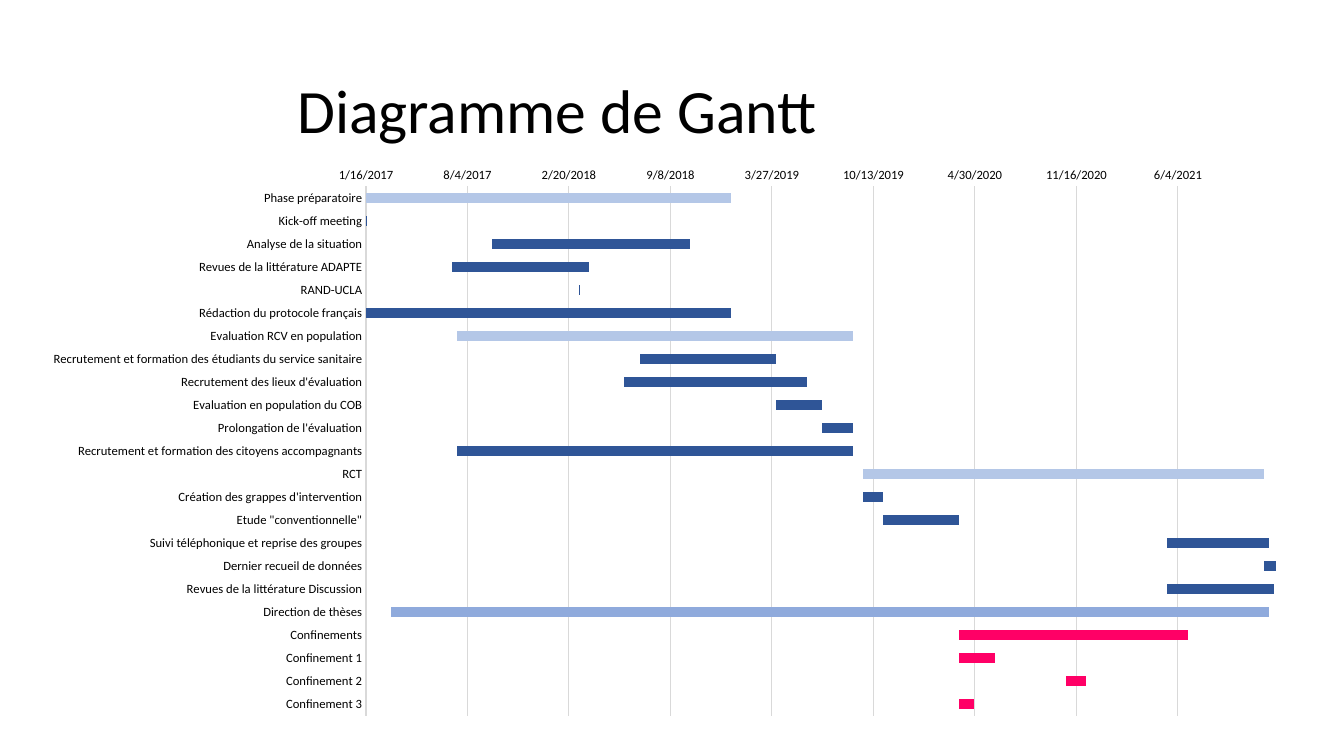
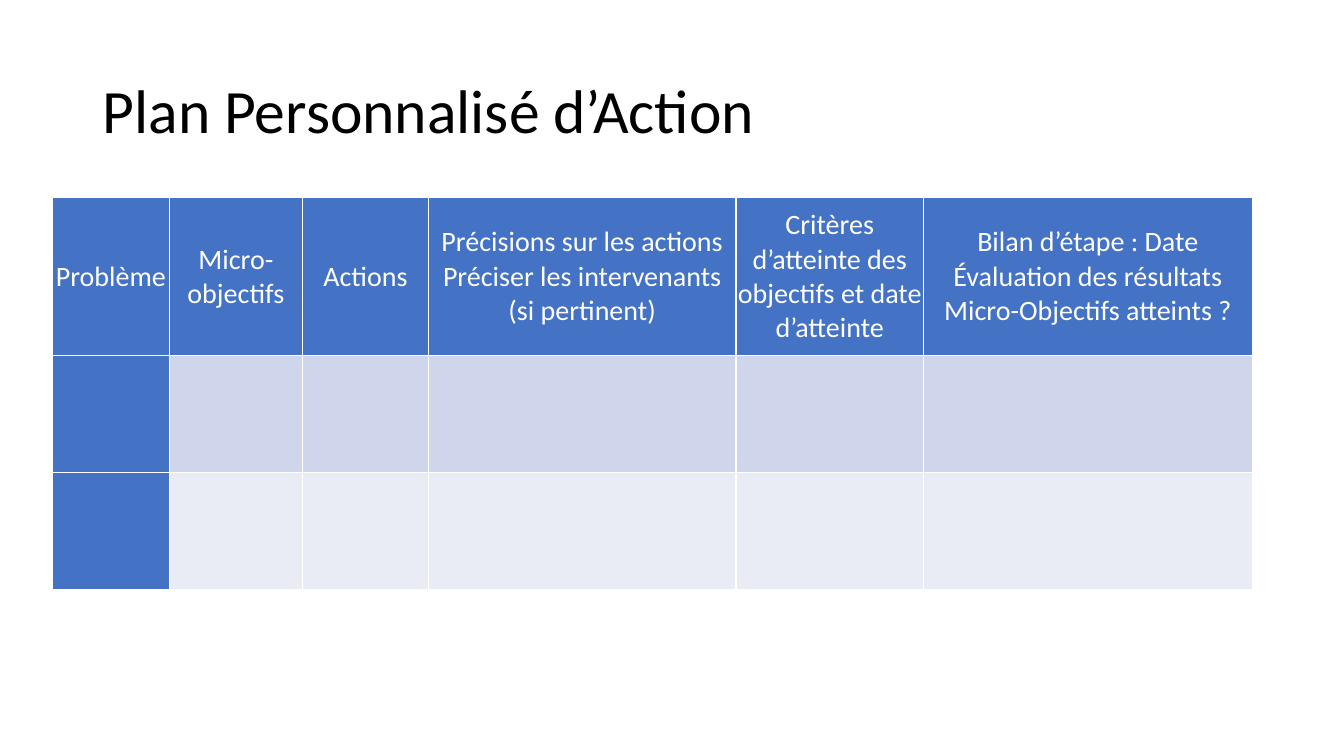
from dataclasses import dataclass
from typing import Any, NamedTuple

from pptx import Presentation
from pptx.chart.data import CategoryChartData
from pptx.dml.color import RGBColor
from pptx.enum.chart import XL_CHART_TYPE, XL_TICK_MARK
from pptx.enum.text import MSO_ANCHOR, PP_ALIGN
from pptx.oxml import parse_xml
from pptx.oxml.ns import nsdecls, qn
from pptx.util import Inches, Pt

STACKED_BARS = XL_CHART_TYPE.BAR_STACKED
NO_TICKS = XL_TICK_MARK.NONE
MIDDLE = MSO_ANCHOR.MIDDLE
CENTER = PP_ALIGN.CENTER


@dataclass(frozen=True)
class Theme:
    font: str = "Calibri"
    text: str = "000000"
    white: str = "FFFFFF"
    grid: str = "D9D9D9"
    phase: str = "B4C7E7"
    task: str = "2F5597"
    supervision: str = "8FAADC"
    lockdown: str = "FF0066"
    header: str = "4472C4"
    bands: tuple[str, ...] = ("CFD5EA", "E9EBF5")
    title_size: float = 44
    header_size: float = 20
    chart_size: float = 10
    axis_size: float = 9


THEME = Theme()


class Task(NamedTuple):
    label: str
    start: int  # date serial number
    days: int
    color: str = THEME.task


class Column(NamedTuple):
    width: float
    heading: tuple[str, ...]


class Box(NamedTuple):
    left: float
    top: float
    width: float
    height: float


GANTT = Box(0.27, 1.55, 12.64, 5.66)
GANTT_PLOT = Box(3.36, 0.3, 9.03, 5.25)  # within the chart
AXIS_START, AXIS_END, GRID_DAYS = 42751, 44545, 200

TASKS = [
    Task("Phase préparatoire", 42750, 720, THEME.phase),
    Task("Kick-off meeting", 42750, 4),
    Task("Analyse de la situation", 43000, 390),
    Task("Revues de la littérature ADAPTE", 42920, 270),
    Task("RAND-UCLA", 43170, 2),
    Task("Rédaction du protocole français", 42750, 720),
    Task("Evaluation RCV en population", 42930, 780, THEME.phase),
    Task("Recrutement et formation des étudiants du service sanitaire", 43290, 270),
    Task("Recrutement des lieux d'évaluation", 43260, 360),
    Task("Evaluation en population du COB", 43560, 90),
    Task("Prolongation de l'évaluation", 43650, 60),
    Task("Recrutement et formation des citoyens accompagnants", 42930, 780),
    Task("RCT", 43730, 790, THEME.phase),
    Task("Création des grappes d'intervention", 43730, 40),
    Task('Etude "conventionnelle"', 43770, 150),
    Task("Suivi téléphonique et reprise des groupes", 44330, 200),
    Task("Dernier recueil de données", 44520, 30),
    Task("Revues de la littérature Discussion", 44330, 210),
    Task("Direction de thèses", 42800, 1730, THEME.supervision),
    Task("Confinements", 43920, 450, THEME.lockdown),
    Task("Confinement 1", 43920, 70, THEME.lockdown),
    Task("Confinement 2", 44130, 40, THEME.lockdown),
    Task("Confinement 3", 43920, 30, THEME.lockdown),
]

COLUMNS = [
    Column(1.16, ("Problème",)),
    Column(1.32, ("Micro-objectifs",)),
    Column(1.25, ("Actions",)),
    Column(3.05, ("Précisions sur les actions",
                  "Préciser les intervenants (si pertinent)")),
    Column(1.86, ("Critères d’atteinte des objectifs et date d’atteinte",)),
    Column(3.26, ("Bilan d’étape : Date", "Évaluation des résultats",
                  "Micro-Objectifs atteints ?")),
]
ROW_HEIGHTS = (1.57, 1.16, 1.16)


# Shared formatting
def apply(target: Any, values: dict[str, Any]) -> None:
    for name, value in values.items():
        setattr(target, name, value)


def style_font(font: Any, size: float, color: str) -> None:
    apply(font, {"name": THEME.font, "size": Pt(size), "bold": False})
    font.color.rgb = RGBColor.from_string(color)


def paint(fill: Any, color: str) -> None:
    fill.solid()
    fill.fore_color.rgb = RGBColor.from_string(color)


def draw_line(line: Any, color: str, width: float) -> None:
    line.width = Pt(width)
    paint(line.fill, color)


def add_titled_slide(deck: Any, title: str, left: float, width: float) -> Any:
    slide = deck.slides.add_slide(deck.slide_layouts[6])
    frame = slide.shapes.add_textbox(
        Inches(left), Inches(0.4), Inches(width), Inches(1.45)).text_frame
    apply(frame, {"word_wrap": True, "vertical_anchor": MIDDLE})
    heading = frame.paragraphs[0]
    heading.line_spacing = 0.9
    run = heading.add_run()
    run.text = title
    style_font(run.font, THEME.title_size, THEME.text)
    return slide


# Gantt chart
def place_plot(chart: Any, outer: Box, plot: Box) -> None:
    area = chart._chartSpace.find(".//" + qn("c:plotArea"))
    for layout in area.findall(qn("c:layout")):
        area.remove(layout)
    shares = (plot.left / outer.width, plot.top / outer.height,
              plot.width / outer.width, plot.height / outer.height)
    sizes = "".join(f'<c:{key} val="{share:.4f}"/>'
                    for key, share in zip("xywh", shares))
    area.insert(0, parse_xml(
        f'<c:layout {nsdecls("c")}><c:manualLayout><c:layoutTarget val="inner"/>'
        '<c:xMode val="edge"/><c:yMode val="edge"/>'
        f"{sizes}</c:manualLayout></c:layout>"))


def add_gantt(slide: Any, tasks: list[Task]) -> None:
    schedule = CategoryChartData()
    schedule.categories = [task.label for task in tasks]
    schedule.add_series("Series 1", [task.start for task in tasks])
    schedule.add_series("Series 2", [task.days for task in tasks])
    chart = slide.shapes.add_chart(
        STACKED_BARS, *(Inches(length) for length in GANTT), schedule).chart
    apply(chart, {"has_legend": False, "has_title": False})
    style_font(chart.font, THEME.chart_size, THEME.text)
    place_plot(chart, GANTT, GANTT_PLOT)

    # Invisible offsets, then one coloured bar per task
    plot = chart.plots[0]
    apply(plot, {"gap_width": 150, "overlap": 100, "vary_by_categories": False})
    offsets, durations = plot.series
    offsets.format.fill.background()
    paint(durations.format.fill, THEME.task)
    for index, task in enumerate(tasks):
        if task.color != THEME.task:
            paint(durations.points[index].format.fill, task.color)

    # Axes
    labels, dates = chart.category_axis, chart.value_axis
    for axis in (labels, dates):
        apply(axis, {"major_tick_mark": NO_TICKS, "minor_tick_mark": NO_TICKS})
        style_font(axis.tick_labels.font, THEME.axis_size, THEME.text)
    labels.reverse_order = True
    draw_line(labels.format.line, THEME.grid, 0.75)
    apply(dates, {"minimum_scale": AXIS_START, "maximum_scale": AXIS_END,
                  "major_unit": GRID_DAYS, "has_major_gridlines": True})
    apply(dates.tick_labels,
          {"number_format": "m/d/yyyy", "number_format_is_linked": False})
    dates.format.line.fill.background()
    draw_line(dates.major_gridlines.format.line, THEME.grid, 0.75)


# Action plan table
def set_borders(cell: Any) -> None:
    properties = cell._tc.get_or_add_tcPr()
    for index, side in enumerate("LRTB"):
        properties.insert(index, parse_xml(
            f'<a:ln{side} {nsdecls("a")} w="{Pt(1)}"><a:solidFill>'
            f'<a:srgbClr val="{THEME.white}"/></a:solidFill></a:ln{side}>'))


def write_heading(cell: Any, lines: tuple[str, ...]) -> None:
    margins = {f"margin_{side}": Inches(0.01)
               for side in ("left", "right", "top", "bottom")}
    apply(cell, {"vertical_anchor": MIDDLE, **margins})
    frame = cell.text_frame
    for index, line in enumerate(lines):
        paragraph = frame.add_paragraph() if index else frame.paragraphs[0]
        paragraph.alignment = CENTER
        run = paragraph.add_run()
        run.text = line
        style_font(run.font, THEME.header_size, THEME.white)


def add_action_plan(slide: Any, columns: list[Column]) -> None:
    table = slide.shapes.add_table(
        len(ROW_HEIGHTS), len(columns), Inches(0.52), Inches(1.96),
        Inches(sum(column.width for column in columns)),
        Inches(sum(ROW_HEIGHTS))).table
    apply(table, {"first_row": True, "first_col": True, "horz_banding": True})
    for index, column in enumerate(columns):
        table.columns[index].width = Inches(column.width)
        write_heading(table.cell(0, index), column.heading)
    for row, height in enumerate(ROW_HEIGHTS):
        table.rows[row].height = Inches(height)
        for col in range(len(columns)):
            cell = table.cell(row, col)
            is_header = row == 0 or col == 0
            paint(cell.fill, THEME.header if is_header else THEME.bands[row - 1])
            set_borders(cell)


def main() -> None:
    deck = Presentation()
    apply(deck, {"slide_width": Inches(13.33), "slide_height": Inches(7.5)})
    add_gantt(add_titled_slide(deck, "Diagramme de Gantt", 2.85, 9.56), TASKS)
    add_action_plan(
        add_titled_slide(deck, "Plan Personnalisé d’Action", 0.92, 11.5), COLUMNS)
    deck.save("out.pptx")


if __name__ == "__main__":
    main()
